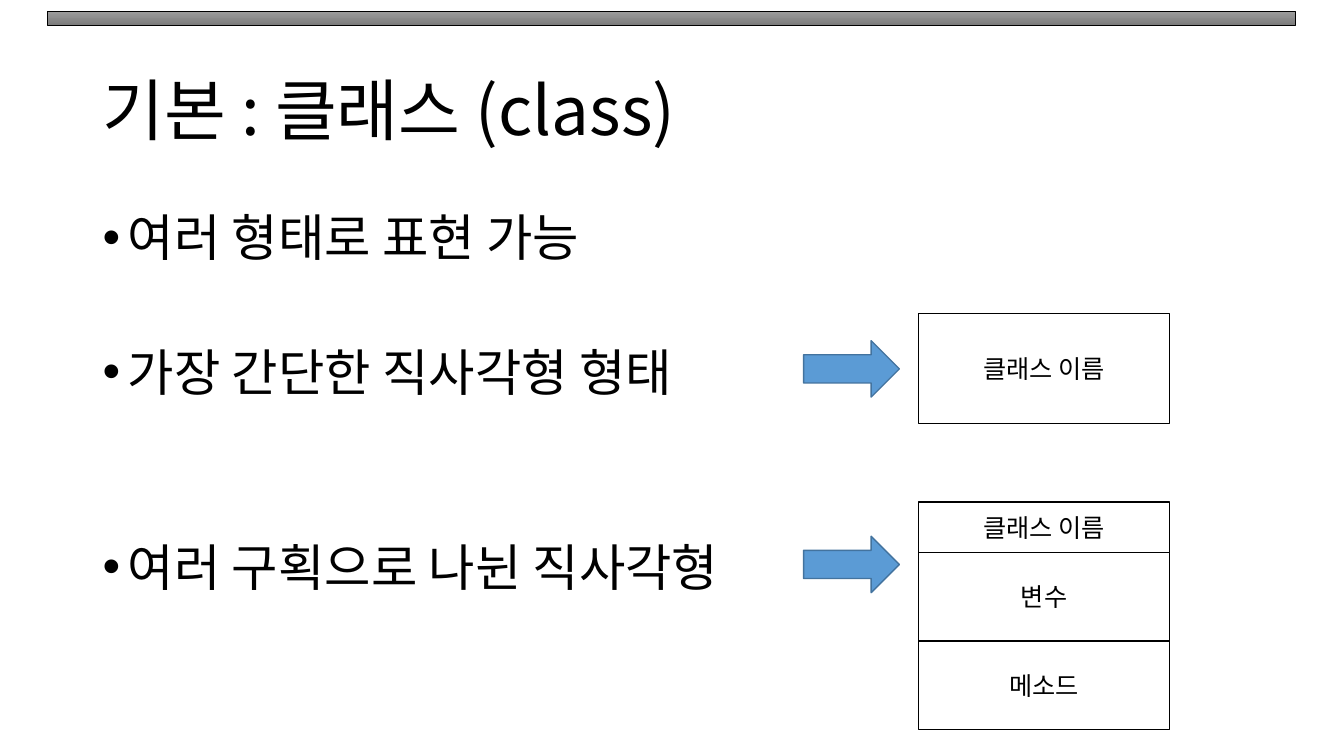
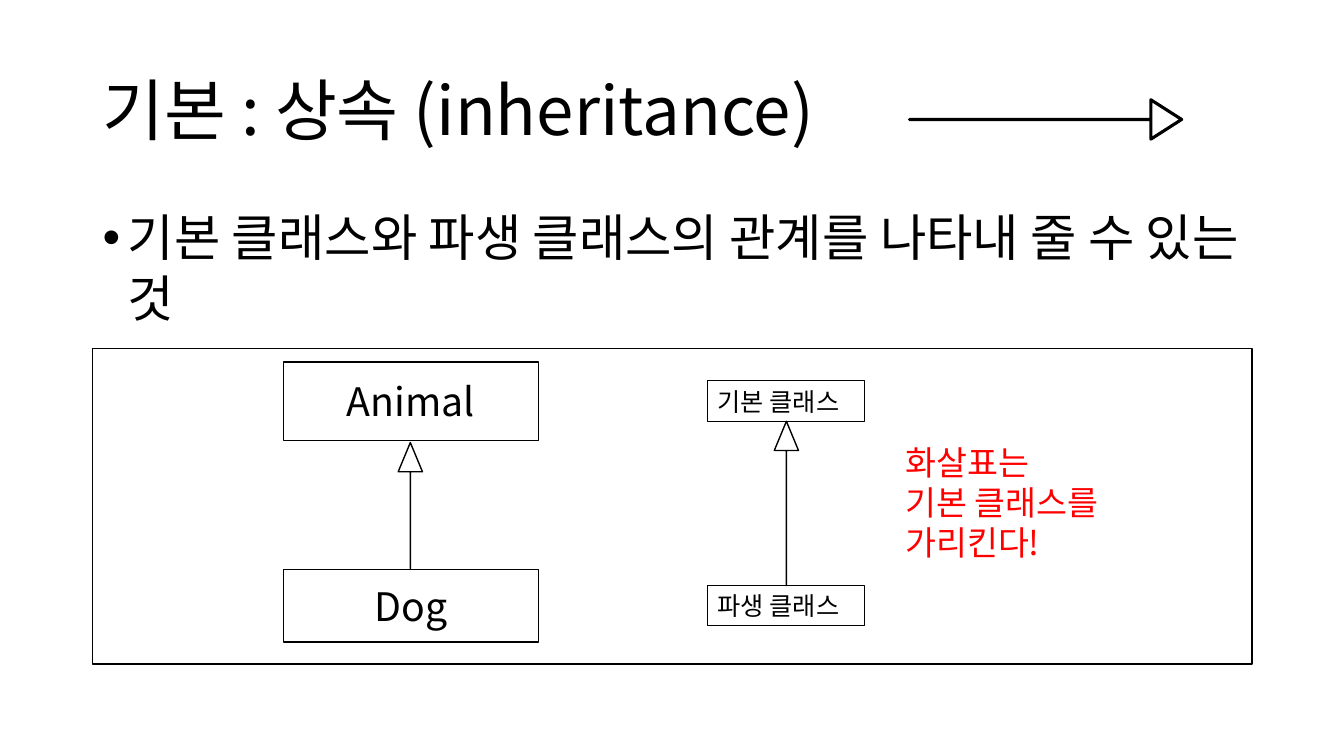
from typing import NamedTuple, Optional

from lxml import etree
from pptx import Presentation
from pptx.dml.color import RGBColor
from pptx.enum import shapes, text
from pptx.oxml import ns
from pptx.util import Inches, Pt

FONT = "Noto Sans CJK KR"
BLACK, WHITE, RED = "000000", "FFFFFF", "FF0000"
BLUE, DARK_BLUE = "5B9BD5", "43739E"
BAR_TOP, BAR_BOTTOM = "9D9D9D", "7C7C7C"

KIND = shapes.MSO_SHAPE
ALIGN = text.PP_ALIGN
ANCHOR = text.MSO_ANCHOR


class Area(NamedTuple):
    left: float
    top: float
    width: float
    height: float


class ClassBox(NamedTuple):
    label: str
    area: Area
    size: float = 18


class Bullet(NamedTuple):
    label: str
    space_before: float = 10


TITLE_AREA = Area(0.92, 0.4, 11.5, 1.45)
BODY_AREA = Area(0.92, 2, 11.5, 4.76)


def rgb(color: str) -> RGBColor:
    return RGBColor.from_string(color)


def inches(area: Area) -> list:
    return [Inches(value) for value in area]


def write(box, lines: list[str], *, size: float, color: str = BLACK,
          align=ALIGN.LEFT, anchor=ANCHOR.TOP, line_spacing: float = 1.0) -> list:
    """Put one paragraph per line into the box and return the paragraphs."""
    frame = box.text_frame
    frame.word_wrap = True
    frame.vertical_anchor = anchor
    paras = []
    for index, line in enumerate(lines):
        para = frame.add_paragraph() if index else frame.paragraphs[0]
        para.alignment = align
        para.line_spacing = line_spacing
        span = para.add_run()
        span.text = line
        span.font.name = FONT
        span.font.size = Pt(size)
        span.font.color.rgb = rgb(color)
        east_asian = etree.SubElement(span.font._element, ns.qn("a:ea"))
        east_asian.set("typeface", FONT)
        paras.append(para)
    return paras


def add_text(page, area: Area, lines: list[str], **style) -> list:
    return write(page.shapes.add_textbox(*inches(area)), lines, **style)


def add_figure(page, kind, area: Area, *, fill: Optional[str] = None,
               line: str = BLACK, weight: float = 1, adjust: tuple = ()):
    shape = page.shapes.add_shape(kind, *inches(area))
    shape.shadow.inherit = False
    if fill:
        shape.fill.solid()
        shape.fill.fore_color.rgb = rgb(fill)
    else:
        shape.fill.background()
    shape.line.color.rgb = rgb(line)
    shape.line.width = Pt(weight)
    for index, value in enumerate(adjust):
        shape.adjustments[index] = value
    return shape


def add_class_box(page, item: ClassBox) -> None:
    box = add_figure(page, KIND.RECTANGLE, item.area, fill=WHITE)
    write(box, [item.label], size=item.size, align=ALIGN.CENTER, anchor=ANCHOR.MIDDLE)


def add_title(page, title: str) -> None:
    add_text(page, TITLE_AREA, [title], size=48, anchor=ANCHOR.MIDDLE, line_spacing=0.9)


def add_bullets(page, bullets: list[Bullet]) -> None:
    paras = add_text(page, BODY_AREA, [bullet.label for bullet in bullets], size=36)
    for para, bullet in zip(paras, bullets):
        para.space_before = Pt(bullet.space_before)
        props = para._p.get_or_add_pPr()
        props.set("marL", str(Inches(0.25)))
        props.set("indent", str(Inches(-0.25)))
        etree.SubElement(props, ns.qn("a:buFont")).set("typeface", "Arial")
        etree.SubElement(props, ns.qn("a:buChar")).set("char", "•")


def add_top_bar(page) -> None:
    bar = add_figure(page, KIND.RECTANGLE, Area(0.47, 0.11, 12.38, 0.14), weight=0.5)
    bar.fill.gradient()
    bar.fill.gradient_angle = 270
    for stop, color in zip(bar.fill.gradient_stops, (BAR_TOP, BAR_BOTTOM)):
        stop.color.rgb = rgb(color)


def build_class_page(page) -> None:
    add_title(page, "기본 : 클래스 (class)")
    add_bullets(page, [
        Bullet("여러 형태로 표현 가능"),
        Bullet("가장 간단한 직사각형 형태", 53),
        Bullet("여러 구획으로 나뉜 직사각형", 96),
    ])
    left, width = 9.11, 2.49
    add_class_box(page, ClassBox("클래스 이름", Area(left, 3.11, width, 1.09)))
    top = 4.98
    for label, height in (("클래스 이름", 0.5), ("변수", 0.88), ("메소드", 0.88)):
        add_class_box(page, ClassBox(label, Area(left, top, width, height)))
        top += height
    for arrow_top in (3.38, 5.32):
        add_figure(page, KIND.RIGHT_ARROW, Area(7.97, arrow_top, 0.95, 0.56),
                   fill=BLUE, line=DARK_BLUE)
    add_top_bar(page)


def build_inheritance_page(page) -> None:
    add_figure(page, KIND.RECTANGLE, Area(0.92, 3.46, 11.5, 3.13), fill=WHITE)
    add_title(page, "기본 : 상속 (inheritance)")
    add_bullets(page, [Bullet("기본 클래스와 파생 클래스의 관계를 나타내 줄 수 있는 것")])
    add_figure(page, KIND.RIGHT_ARROW, Area(9.02, 0.99, 2.7, 0.39),
               weight=2.25, adjust=(0, 0.782))
    add_class_box(page, ClassBox("Animal", Area(2.81, 3.59, 2.53, 0.78), 28))
    add_class_box(page, ClassBox("Dog", Area(2.81, 5.65, 2.53, 0.72), 28))
    for label, top in (("기본 클래스", 3.78), ("파생 클래스", 5.81)):
        box = add_figure(page, KIND.RECTANGLE, Area(7.02, top, 1.55, 0.4), weight=0.75)
        write(box, [label], size=18)
    for area in (Area(3.95, 4.39, 0.24, 1.25), Area(7.68, 4.18, 0.24, 1.63)):
        add_figure(page, KIND.UP_ARROW, area, adjust=(0, 1.208))
    add_text(page, Area(8.88, 4.33, 2.58, 1.31),
             ["화살표는", "기본 클래스를", "가리킨다!"], size=24, color=RED)


def main() -> None:
    deck = Presentation()
    deck.slide_width, deck.slide_height = Inches(13.33), Inches(7.5)
    blank = deck.slide_layouts[6]
    for build in (build_class_page, build_inheritance_page):
        build(deck.slides.add_slide(blank))
    deck.save("out.pptx")


if __name__ == "__main__":
    main()
